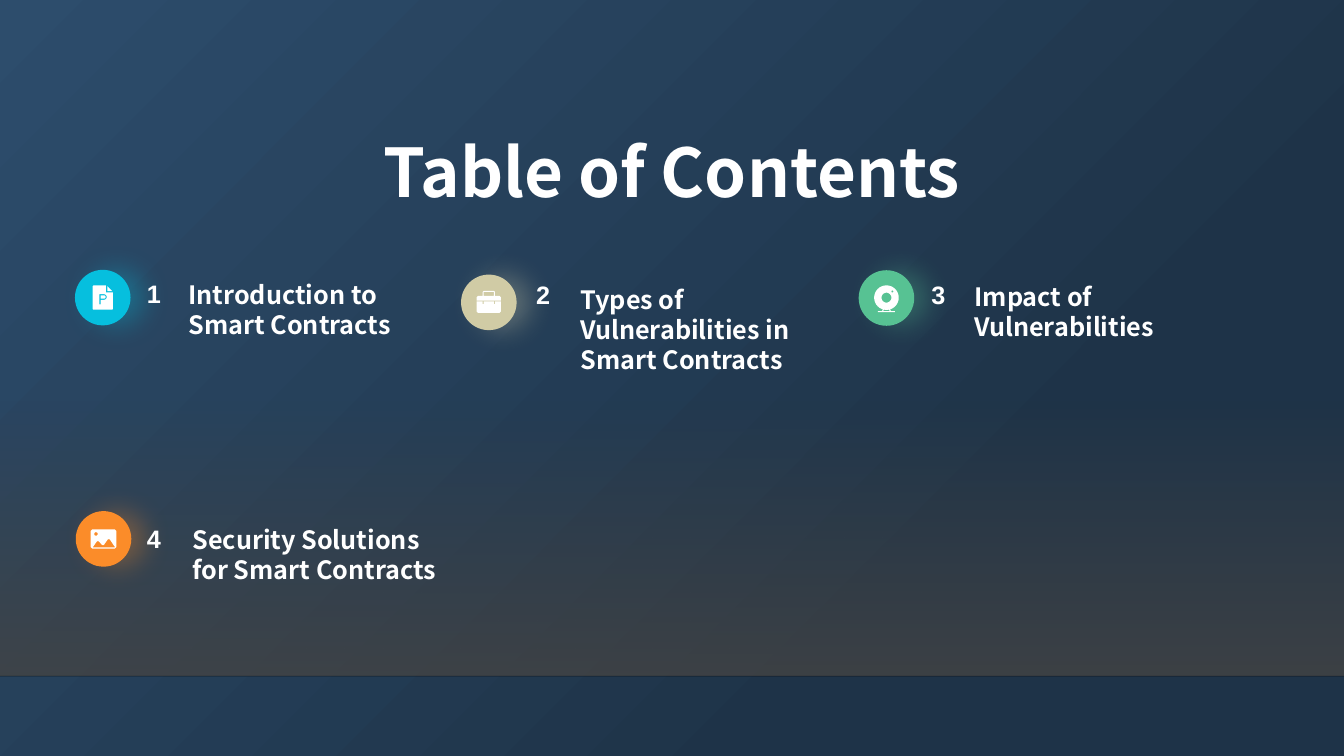
"""Build the table of contents slide of a talk on smart contract security."""
from math import cos, pi, sin

from lxml.etree import SubElement
from pptx import Presentation
from pptx.dml.color import RGBColor
from pptx.enum.shapes import MSO_CONNECTOR, MSO_SHAPE
from pptx.enum.text import MSO_AUTO_SIZE, PP_ALIGN
from pptx.oxml.ns import qn
from pptx.util import Cm, Pt

COLORS = {
    "sky": "2D4D6C", "night": "1E3348", "band": "454545", "rule": "000001",
    "white": "FFFFFF", "cyan": "06BFDE", "sand": "D0CBA5",
    "green": "57C293", "orange": "FB8C29",
}
HEADING_FONT = "Noto Sans CJK SC"
SLIDE_WIDTH, SLIDE_HEIGHT = Cm(33.87), Cm(19.05)
DISC = 1.4
ICON_UNIT = Cm(0.001)


def rgb(name):
    """Return the named colour."""
    return RGBColor.from_string(COLORS[name])


def set_alpha(color_element, percent):
    """Give a colour element an opacity."""
    SubElement(color_element, qn("a:alpha"), val=str(percent * 1000))


def fill_gradient(fill, stops, angle):
    """Fill with a linear gradient of (position, colour) stops."""
    fill.gradient()
    fill.gradient_angle = angle
    for stop, (position, color) in zip(fill.gradient_stops, stops):
        stop.position = position
        stop.color.rgb = rgb(color)


def arc(x, y, radius, start=0, end=2 * pi, steps=32):
    """Return points along an arc around (x, y)."""
    angles = [start + (end - start) * i / steps for i in range(steps + 1)]
    return [(x + radius * cos(a), y + radius * sin(a)) for a in angles]


def box(left, top, right, bottom, cut=0):
    """Return the corners of a box, cut off by the given length."""
    return [(left + cut, top), (right - cut, top), (right, top + cut),
            (right, bottom - cut), (right - cut, bottom),
            (left + cut, bottom), (left, bottom - cut), (left, top + cut)]


def document_icon():
    """Return the outlines of a page with a folded corner and a letter P."""
    page = [(-235, -305), (80, -305), (80, -130), (255, -130), (255, 285),
            (235, 305), (-235, 305), (-255, 285), (-255, -285)]
    fold = [(115, -290), (115, -165), (240, -165)]
    letter = [(-85, -85), *arc(30, -15, 70, -pi / 2, pi / 2),
              (-55, 55), (-55, 170), (-85, 170)]
    counter = [(-55, -57), *arc(30, -15, 42, -pi / 2, pi / 2), (-55, 27)]
    return [page, fold, letter, counter]


def briefcase_icon():
    """Return the outlines of a briefcase with a handle and two clasps."""
    lid = [(-270, -165), (270, -165), (305, -130), (305, -45),
           (-305, -45), (-305, -130)]
    case = [(-305, -25), (-155, -25), (-155, 45), (-130, 45), (-130, -25),
            (130, -25), (130, 45), (155, 45), (155, -25), (305, -25),
            (305, 230), (270, 265), (-270, 265), (-305, 230)]
    handle = [(-155, -165), (-155, -265), (-130, -290), (130, -290),
              (155, -265), (155, -165), (130, -165), (130, -265),
              (-130, -265), (-130, -165)]
    return [lid, case, handle]


def webcam_icon():
    """Return the outlines of a round camera on a stand."""
    leg = [(-90, 290), (-115, 330), (-85, 330), (-65, 297)]
    mirrored_leg = [(-x, y) for x, y in leg]
    return [arc(0, -10, 310), arc(0, -10, 125), arc(150, -165, 25),
            leg, mirrored_leg, box(-215, 330, 215, 355)]


def landscape_icon():
    """Return the outlines of a framed landscape with a sun."""
    hills = [(-275, 215), (-170, 65), (-140, 52), (-115, 65), (-40, 150),
             (-15, 158), (10, 150), (105, 15), (130, 5), (160, 15), (295, 215)]
    return [box(-325, -240, 325, 245, 40), hills, arc(-190, -125, 45)]


def add_text(slide, text, left, top, width, height, *, size=18,
             font=HEADING_FONT, align=PP_ALIGN.LEFT, grow=True):
    """Add a bold white text box, with lengths in centimetres."""
    text_box = slide.shapes.add_textbox(Cm(left), Cm(top), Cm(width), Cm(height))
    frame = text_box.text_frame
    frame.word_wrap = True
    frame.auto_size = MSO_AUTO_SIZE.SHAPE_TO_FIT_TEXT if grow else MSO_AUTO_SIZE.NONE
    paragraph = frame.paragraphs[0]
    paragraph.alignment = align
    run = paragraph.add_run()
    run.text = text
    run.font.name = font
    run.font.size = Pt(size)
    run.font.bold = True
    run.font.color.rgb = rgb("white")
    SubElement(run.font._element, qn("a:ea"), typeface=font)


def add_disc(slide, left, top, color):
    """Add a disc that glows to the right in its own colour."""
    disc = slide.shapes.add_shape(
        MSO_SHAPE.OVAL, Cm(left), Cm(top), Cm(DISC), Cm(DISC))
    disc.fill.solid()
    disc.fill.fore_color.rgb = rgb(color)
    disc.line.fill.background()
    disc.shadow.inherit = False
    effects = disc._element.spPr.find(qn("a:effectLst"))
    glow = SubElement(effects, qn("a:outerShdw"), blurRad=str(Pt(20)),
                      dist=str(Pt(10)), dir="0", algn="l", rotWithShape="0")
    set_alpha(SubElement(glow, qn("a:srgbClr"), val=COLORS[color]), 32)


def add_icon(slide, left, top, outlines):
    """Add white outlines around the centre of the disc at (left, top)."""
    center_x, center_y = (round((edge + DISC / 2) * 1000) for edge in (left, top))
    placed = [[(center_x + x, center_y + y) for x, y in outline]
              for outline in outlines]
    builder = slide.shapes.build_freeform(*placed[0][0], scale=ICON_UNIT)
    builder.add_line_segments(placed[0][1:])
    for outline in placed[1:]:
        builder.move_to(*outline[0])
        builder.add_line_segments(outline[1:])
    icon = builder.convert_to_shape()
    icon.fill.solid()
    icon.fill.fore_color.rgb = rgb("white")
    icon.line.fill.background()
    icon.shadow.inherit = False


def add_backdrop(slide):
    """Add the background, the fading band and the rule below it."""
    fill_gradient(slide.background.fill, [(0, "sky"), (0.72, "night")], 315)
    band = slide.shapes.add_shape(
        MSO_SHAPE.RECTANGLE, 0, Cm(10.06), SLIDE_WIDTH, Cm(6.97))
    fill_gradient(band.fill, [(0, "band"), (1, "band")], 270)
    for color, opacity in zip(band._element.spPr.iter(qn("a:srgbClr")), (0, 80)):
        set_alpha(color, opacity)
    band.line.fill.background()
    band.shadow.inherit = False
    rule = slide.shapes.add_connector(
        MSO_CONNECTOR.STRAIGHT, 0, Cm(17.04), SLIDE_WIDTH, Cm(17.04))
    rule.line.width = Pt(1)
    rule.line.color.rgb = rgb("rule")
    set_alpha(next(rule._element.spPr.iter(qn("a:srgbClr"))), 20)
    SubElement(rule._element.spPr, qn("a:effectLst"))


def main():
    """Build and save the slide."""
    deck = Presentation()
    deck.slide_width, deck.slide_height = SLIDE_WIDTH, SLIDE_HEIGHT
    slide = deck.slides.add_slide(deck.slide_layouts[6])
    add_backdrop(slide)
    add_text(slide, "Table of Contents", 1.83, 3.15, 30.2, 3.07,
             size=48, align=PP_ALIGN.CENTER, grow=False)
    chapters = [
        ("Introduction to Smart Contracts", "cyan", document_icon(),
         (1.89, 6.8), (3.45, 6.88), (4.5, 6.91)),
        ("Types of Vulnerabilities in Smart Contracts", "sand", briefcase_icon(),
         (11.62, 6.92), (13.26, 6.91), (14.38, 7.04)),
        ("Impact of Vulnerabilities", "green", webcam_icon(),
         (21.64, 6.81), (23.22, 6.91), (24.31, 6.96)),
        ("Security Solutions for Smart Contracts", "orange", landscape_icon(),
         (1.91, 12.88), (3.45, 13.06), (4.6, 13.08)),
    ]
    for number, chapter in enumerate(chapters, 1):
        title, color, icon, disc_at, number_at, title_at = chapter
        add_disc(slide, *disc_at, color)
        add_icon(slide, *disc_at, icon)
        add_text(slide, str(number), *number_at, 1.4, 1.02, font="Arial")
        add_text(slide, title, *title_at, 6.71, 1.02)
    deck.save("out.pptx")


if __name__ == "__main__":
    main()
